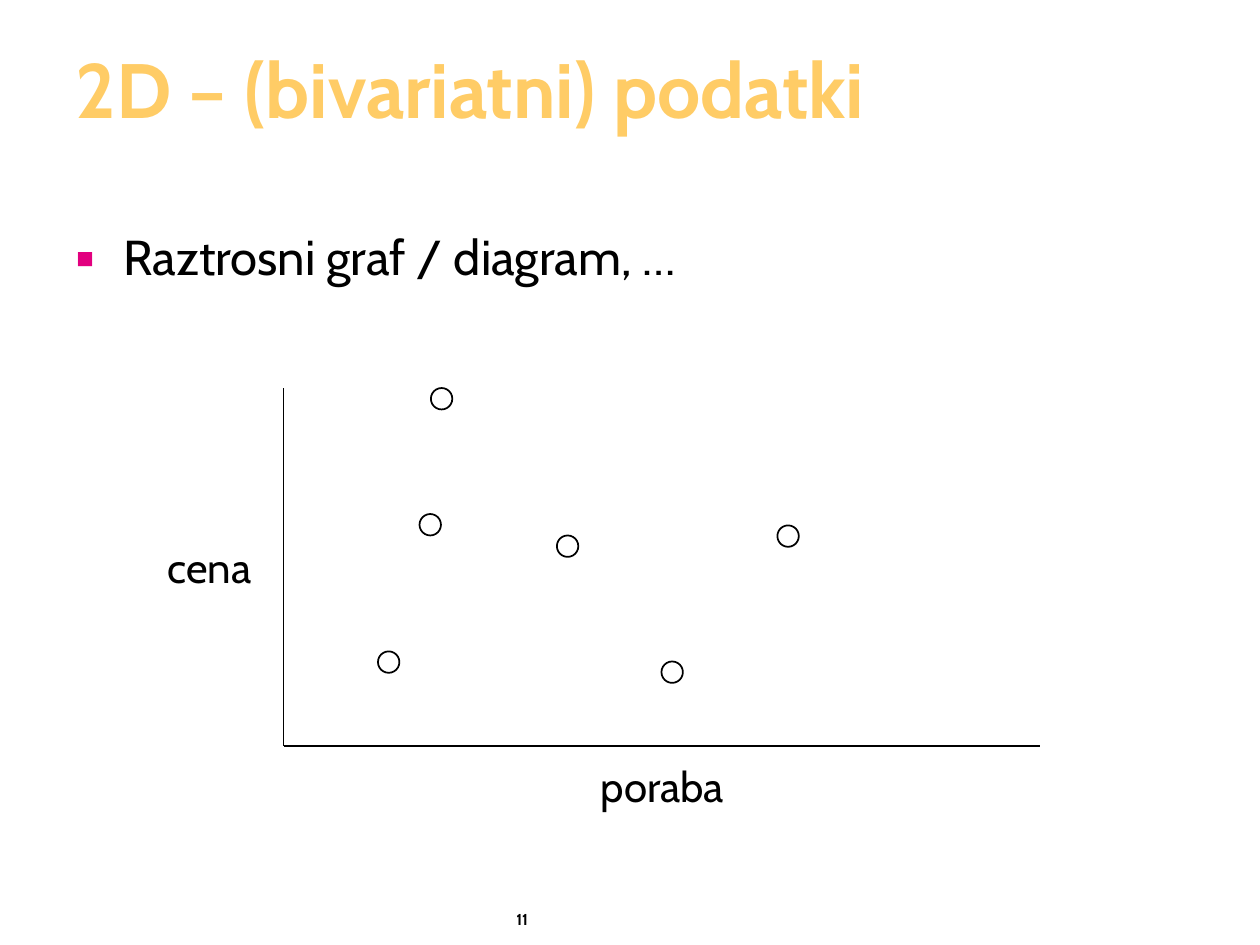
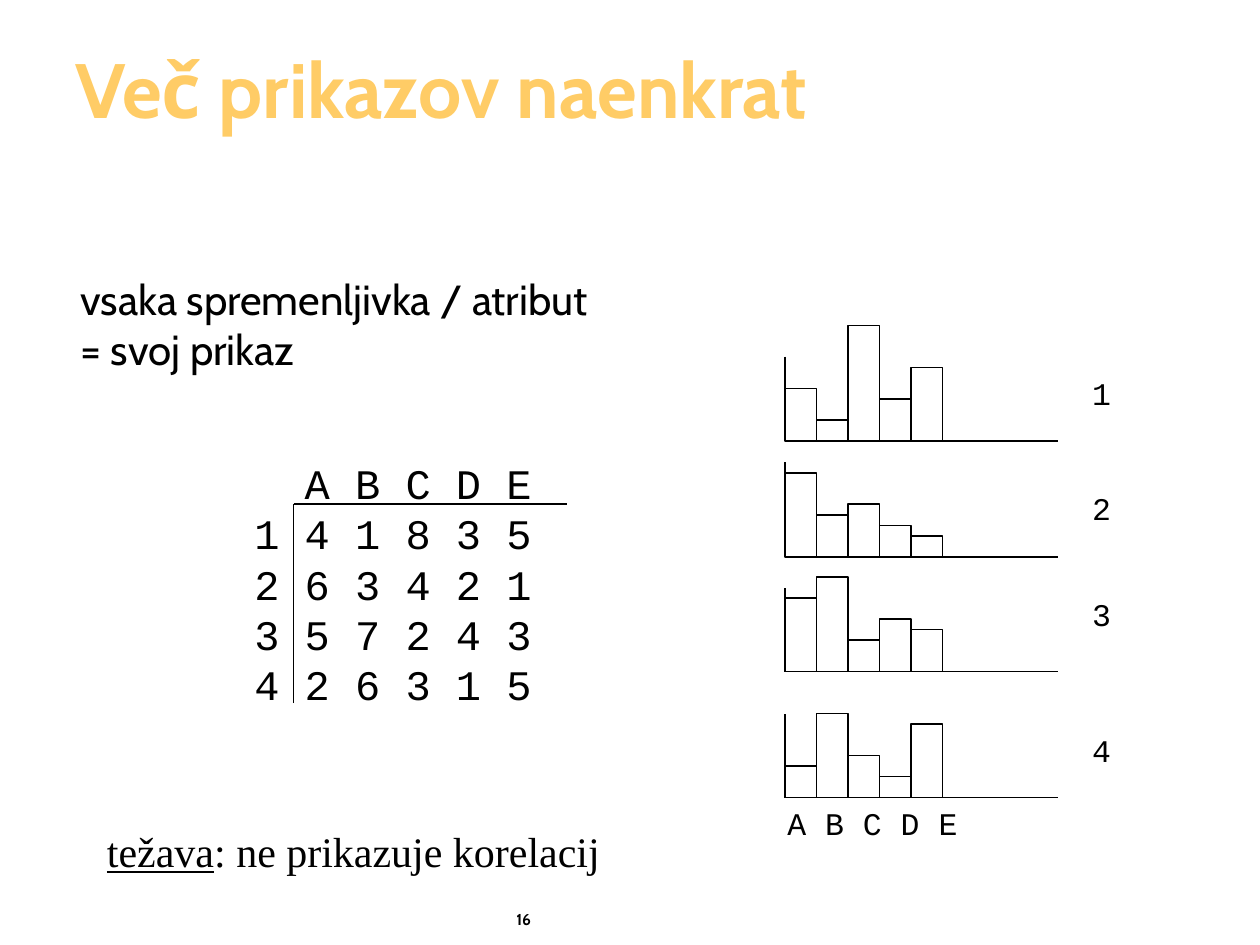
from dataclasses import dataclass
from typing import NamedTuple

from pptx import Presentation
from pptx.dml.color import RGBColor
from pptx.enum.shapes import MSO_CONNECTOR, MSO_SHAPE
from pptx.enum.text import MSO_ANCHOR, MSO_AUTO_SIZE
from pptx.oxml.ns import qn
from pptx.util import Inches, Pt
from lxml.etree import SubElement


@dataclass(frozen=True)
class Theme:
    ink: RGBColor = RGBColor(0x00, 0x00, 0x00)
    paper: RGBColor = RGBColor(0xFF, 0xFF, 0xFF)
    title: RGBColor = RGBColor(0xFF, 0xCC, 0x66)
    bullet: str = "E2007F"
    sans: str = "Cabin"
    mono: str = "Courier New"
    serif: str = "Times New Roman"
    title_size: int = 44
    body_size: int = 28
    text_size: int = 24
    label_size: int = 18
    footer_size: int = 9
    line_width: int = 1


class Box(NamedTuple):
    x: float
    y: float
    w: float
    h: float


class Point(NamedTuple):
    x: float
    y: float


class BarPanel(NamedTuple):
    label: str
    axis_top: float
    base: float
    label_top: float
    heights: tuple[int, ...]


THEME = Theme()
POINT_SIZE = 0.17
SCATTER = (
    Point(6.17, 4.17), Point(3.42, 3.08), Point(4.42, 4.25),
    Point(3, 5.17), Point(5.25, 5.25), Point(3.33, 4.08),
)
BAR_LEFT = 6.23
BAR_WIDTH = 0.25
BAR_UNIT = 1 / 12
AXIS_RIGHT = 8.4
PANELS = (
    BarPanel("1", 2.83, 3.5, 2.92, (5, 2, 11, 4, 7)),
    BarPanel("2", 3.67, 4.42, 3.83, (8, 4, 5, 3, 2)),
    BarPanel("3", 4.67, 5.33, 4.67, (7, 9, 3, 5, 4)),
    BarPanel("4", 5.67, 6.33, 5.75, (3, 8, 4, 2, 7)),
)
ATTRIBUTES = "A B C D E"
ROWS = ("1 4 1 8 3 5", "2 6 3 4 2 1", "3 5 7 2 4 3", "4 2 6 3 1 5")


def add_text(s, box: Box, text: str, *, size: int = THEME.text_size,
             font: str = THEME.sans, color: RGBColor = THEME.ink,
             bold: bool = False, underlined: str = "", wrap: bool = True,
             grow: bool = False, anchor=MSO_ANCHOR.TOP,
             spacing: float | None = None, before: float | None = None):
    tf = s.shapes.add_textbox(*map(Inches, box)).text_frame
    tf.word_wrap = wrap
    tf.auto_size = MSO_AUTO_SIZE.SHAPE_TO_FIT_TEXT if grow else MSO_AUTO_SIZE.NONE
    tf.vertical_anchor = anchor
    for i, line in enumerate(text.split("\n")):
        p = tf.add_paragraph() if i else tf.paragraphs[0]
        if underlined:
            p.add_run().text = underlined
            p.runs[0].font.underline = True
            p.add_run().text = line
        else:
            p.text = line
        if spacing is not None:
            p.line_spacing = spacing
        if before is not None:
            p.space_before = Pt(before)
        for r in p.runs:
            r.font.name = font
            r.font.size = Pt(size)
            r.font.bold = bold
            r.font.color.rgb = color
    return tf


def add_label(s, box: Box, text: str, size: int = THEME.text_size,
              font: str = THEME.sans):
    return add_text(s, box, text, size=size, font=font, wrap=False, grow=True)


def set_indent(p, left: float, first: float = 0):
    pPr = p._p.get_or_add_pPr()
    pPr.set("marL", str(Inches(left)))
    pPr.set("indent", str(Inches(first)))
    return pPr


def add_bullet(p) -> None:
    pPr = set_indent(p, 0.38, -0.38)
    color = SubElement(pPr, qn("a:buClr"))
    SubElement(color, qn("a:srgbClr")).set("val", THEME.bullet)
    SubElement(pPr, qn("a:buFont")).set("typeface", THEME.sans)
    SubElement(pPr, qn("a:buChar")).set("char", "▪")


def add_line(s, start: Point, end: Point) -> None:
    line = s.shapes.add_connector(MSO_CONNECTOR.STRAIGHT, *map(Inches, (*start, *end)))
    line.line.color.rgb = THEME.ink
    line.line.width = Pt(THEME.line_width)
    SubElement(line._element.spPr, qn("a:effectLst"))


def add_axes(s, corner: Point, vertical_end: float, horizontal_end: float) -> None:
    add_line(s, Point(corner.x, vertical_end), corner)
    add_line(s, corner, Point(horizontal_end, corner.y))


def add_outline(s, kind: MSO_SHAPE, box: Box, fill: RGBColor | None = None) -> None:
    sp = s.shapes.add_shape(kind, *map(Inches, box))
    sp.shadow.inherit = False
    if fill is None:
        sp.fill.background()
    else:
        sp.fill.solid()
        sp.fill.fore_color.rgb = fill
    sp.line.color.rgb = THEME.ink
    sp.line.width = Pt(THEME.line_width)


def add_bar_panel(s, panel: BarPanel) -> None:
    add_axes(s, Point(BAR_LEFT, panel.base), panel.axis_top, AXIS_RIGHT)
    for i, units in enumerate(panel.heights):
        height = units * BAR_UNIT
        box = Box(BAR_LEFT + i * BAR_WIDTH, panel.base - height, BAR_WIDTH, height)
        add_outline(s, MSO_SHAPE.RECTANGLE, box)
    add_label(s, Box(8.57, panel.label_top, 0.35, 0.4), panel.label,
              THEME.label_size, THEME.mono)


def new_slide(prs, title: str, number: str):
    s = prs.slides.add_slide(prs.slide_layouts[6])
    s.background.fill.solid()
    s.background.fill.fore_color.rgb = THEME.paper
    add_text(s, Box(4, 7.17, 1.02, 0.33), number, size=THEME.footer_size, bold=True)
    add_text(s, Box(0.5, 0.25, 9.08, 1), title, size=THEME.title_size,
             color=THEME.title, bold=True, anchor=MSO_ANCHOR.MIDDLE, spacing=0.85)
    return s


def build_scatter_slide(prs) -> None:
    s = new_slide(prs, "2D – (bivariatni) podatki", "11")
    tf = add_text(s, Box(0.5, 1.75, 9.08, 5.17), "Raztrosni graf / diagram, …",
                  size=THEME.body_size, before=17.5)
    add_bullet(tf.paragraphs[0])
    add_axes(s, Point(2.25, 5.92), 3.08, 8.25)
    add_label(s, Box(1.23, 4.25, 0.94, 0.5), "cena")
    add_label(s, Box(4.67, 5.99, 1.32, 0.5), "poraba")
    for point in SCATTER:
        add_outline(s, MSO_SHAPE.OVAL, Box(*point, POINT_SIZE, POINT_SIZE), THEME.paper)


def build_panels_slide(prs) -> None:
    s = new_slide(prs, "Več prikazov naenkrat", "16")
    add_label(s, Box(0.54, 2.12, 4.71, 0.9),
              "vsaka spremenljivka / atribut\v= svoj prikaz")
    tf = add_label(s, Box(1.92, 3.58, 2.4, 2.1), "\n".join((ATTRIBUTES, *ROWS)),
                   font=THEME.mono)
    set_indent(tf.paragraphs[0], 0.4)
    add_axes(s, Point(2.33, 4), 5.58, 4.5)
    for panel in PANELS:
        add_bar_panel(s, panel)
    add_label(s, Box(6.15, 6.33, 1.55, 0.4), ATTRIBUTES, THEME.label_size, THEME.mono)
    add_text(s, Box(0.75, 6.5, 5.08, 0.5), ": ne prikazuje korelacij",
             font=THEME.serif, underlined="težava", grow=True, before=15)


def main() -> None:
    prs = Presentation()
    prs.slide_width = Inches(10)
    prs.slide_height = Inches(7.5)
    build_scatter_slide(prs)
    build_panels_slide(prs)
    prs.save("out.pptx")


if __name__ == "__main__":
    main()
